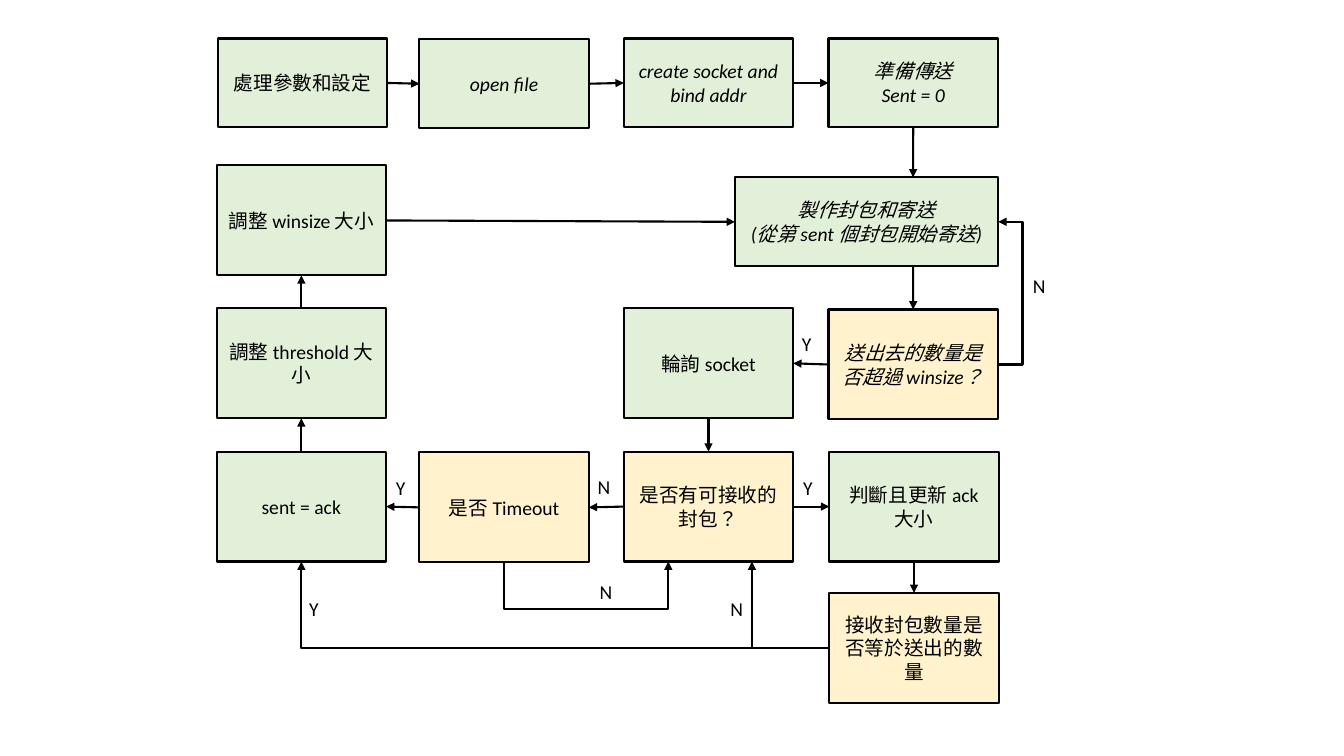
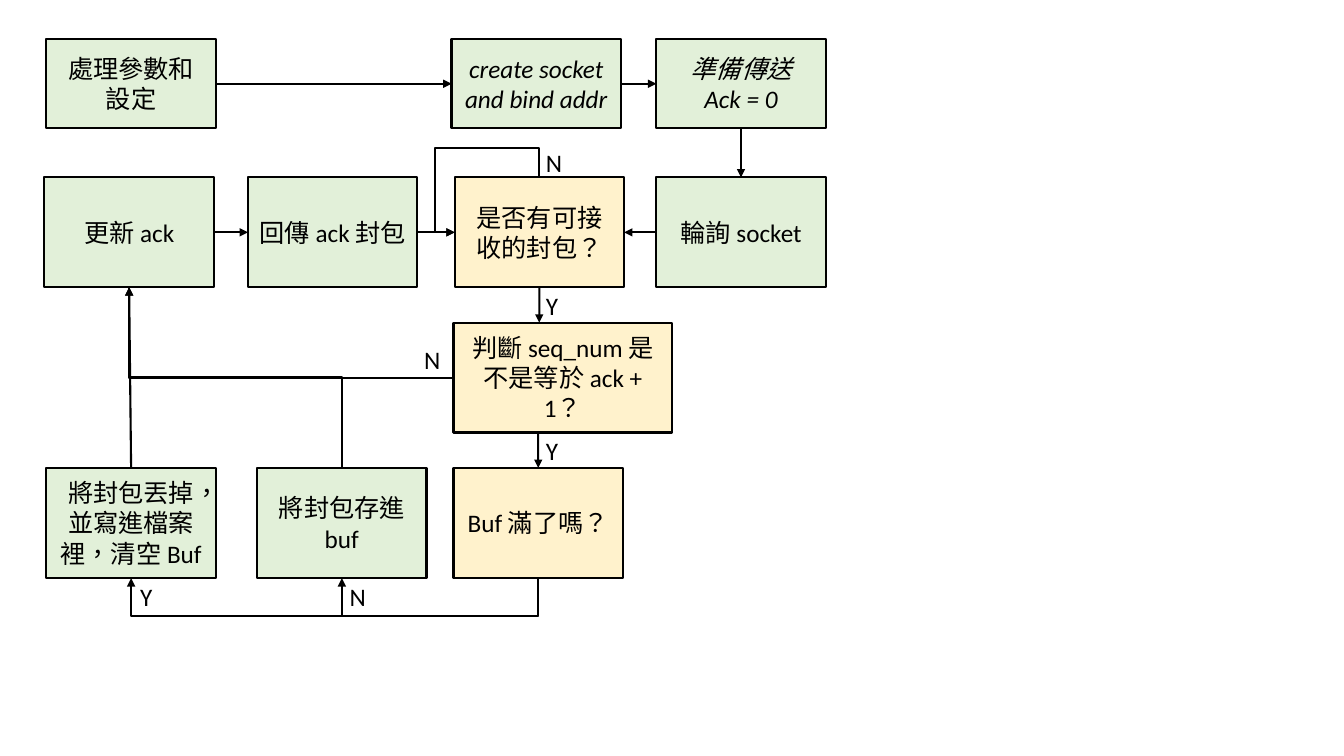
from pptx import Presentation
from pptx.dml.color import RGBColor
from pptx.enum.shapes import MSO_CONNECTOR, MSO_SHAPE
from pptx.enum.text import MSO_ANCHOR, MSO_AUTO_SIZE, PP_ALIGN
from pptx.oxml.ns import qn
from pptx.oxml.xmlchemy import OxmlElement
from pptx.util import Cm, Pt

RECTANGLE = MSO_SHAPE.RECTANGLE
STRAIGHT, ELBOW = MSO_CONNECTOR.STRAIGHT, MSO_CONNECTOR.ELBOW
MIDDLE = MSO_ANCHOR.MIDDLE
CENTER, LEFT = PP_ALIGN.CENTER, PP_ALIGN.LEFT
GROW = MSO_AUTO_SIZE.SHAPE_TO_FIT_TEXT

FONT, BLACK = "Calibri", "000000"
STEP, QUESTION = "E2F0D9", "FFF2CC"
LINE_WIDTH = 1.5
BOX_WIDTH, LOW, HIGH = 4.27, 2.24, 2.77
MIN_SPAN = 0.02

# Connection site and turning angle for each side of a box
SIDES = {"top": (0, 270), "left": (1, 180), "bottom": (2, 90), "right": (3, 0)}

# Boxes: name: (text, left, top, width, height, fill, italic), in cm
# Routes: (start, end, *bends); an end is (box, side) or (box, side, x),
# and bends are the lanes the route turns into, in turn across and along.
SENDER = {
    "size": 14,
    "label_height": 0.86,
    "label_widths": {"Y": 0.76, "N": 0.84},
    "boxes": {
        "setup": ("處理參數和設定", 5.49, 0.97, BOX_WIDTH, LOW, STEP, False),
        "file": ("open file", 10.57, 0.99, BOX_WIDTH, LOW, STEP, True),
        "socket": ("create socket and bind addr", 15.72, 0.97, BOX_WIDTH, LOW, STEP, True),
        "prepare": ("準備傳送\nSent = 0", 20.88, 0.97, BOX_WIDTH, LOW, STEP, True),
        "send": ("製作封包和寄送\v(從第 sent 個封包開始寄送)", 18.52, 4.47, 6.63, LOW, STEP, True),
        "window": ("送出去的數量是否超過 winsize？", 20.88, 7.8, BOX_WIDTH, HIGH, QUESTION, True),
        "poll": ("輪詢 socket", 15.72, 7.77, BOX_WIDTH, HIGH, STEP, False),
        "receive": ("是否有可接收的封包？", 15.72, 11.38, BOX_WIDTH, HIGH, QUESTION, False),
        "timeout": ("是否 Timeout", 10.57, 11.4, BOX_WIDTH, HIGH, QUESTION, False),
        "judge": ("判斷且更新 ack 大小", 20.9, 11.38, BOX_WIDTH, HIGH, STEP, False),
        "count": ("接收封包數量是否等於送出的數量", 20.9, 14.94, BOX_WIDTH, HIGH, QUESTION, False),
        "sent": ("sent = ack", 5.46, 11.38, BOX_WIDTH, HIGH, STEP, False),
        "threshold": ("調整 threshold 大小", 5.46, 7.77, BOX_WIDTH, HIGH, STEP, False),
        "winsize": ("調整 winsize 大小", 5.46, 4.17, BOX_WIDTH, HIGH, STEP, False),
    },
    "arrows": [
        (("setup", "right"), ("file", "left")),
        (("file", "right"), ("socket", "left")),
        (("socket", "right"), ("prepare", "left")),
        (("prepare", "bottom"), ("send", "top", 23.01)),
        (("send", "bottom", 23.01), ("window", "top")),
        (("window", "right"), ("send", "right"), 25.78),
        (("window", "left"), ("poll", "right")),
        (("poll", "bottom"), ("receive", "top")),
        (("receive", "right"), ("judge", "left")),
        (("receive", "left"), ("timeout", "right")),
        (("timeout", "bottom"), ("receive", "bottom", 16.84), 15.34, 16.84),
        (("timeout", "left"), ("sent", "right")),
        (("judge", "bottom"), ("count", "top")),
        (("count", "left"), ("receive", "bottom", 18.95)),
        (("count", "left"), ("sent", "bottom")),
        (("sent", "top"), ("threshold", "bottom")),
        (("threshold", "top"), ("winsize", "bottom")),
        (("winsize", "right"), ("send", "left")),
    ],
    "lines": [],
    "labels": [
        ("N", 25.78, 6.78), ("Y", 19.96, 8.23), ("Y", 9.73, 11.86),
        ("N", 14.81, 11.84), ("Y", 19.99, 11.86), ("N", 14.86, 14.48),
        ("Y", 7.54, 14.91), ("N", 18.16, 14.91),
    ],
}

RECEIVER = {
    "size": 18,
    "label_height": 1.02,
    "label_widths": {"Y": 0.81, "N": 0.91},
    "boxes": {
        "setup": ("處理參數和設定", 1.17, 0.99, BOX_WIDTH, LOW, STEP, False),
        "socket": ("create socket and bind addr", 11.38, 0.99, BOX_WIDTH, LOW, STEP, True),
        "prepare": ("準備傳送\nAck = 0", 16.54, 0.99, BOX_WIDTH, LOW, STEP, True),
        "poll": ("輪詢 socket", 16.54, 4.47, BOX_WIDTH, HIGH, STEP, False),
        "receive": ("是否有可接收的封包？", 11.46, 4.47, BOX_WIDTH, HIGH, QUESTION, False),
        "reply": ("回傳 ack 封包", 6.25, 4.47, BOX_WIDTH, HIGH, STEP, False),
        "update": ("更新 ack", 1.12, 4.47, BOX_WIDTH, HIGH, STEP, False),
        "sequence": ("判斷 seq_num 是不是等於 ack + 1？", 11.43, 8.13, 5.51, HIGH, QUESTION, False),
        "full": ("Buf 滿了嗎？", 11.43, 11.79, BOX_WIDTH, HIGH, QUESTION, False),
        "store": ("將封包存進 buf", 6.48, 11.79, BOX_WIDTH, HIGH, STEP, False),
        "drop": ("將封包丟掉，並寫進檔案裡，清空 Buf", 1.17, 11.79, BOX_WIDTH, HIGH, STEP, False),
    },
    "arrows": [
        (("setup", "right"), ("socket", "left")),
        (("socket", "right"), ("prepare", "left")),
        (("prepare", "bottom"), ("poll", "top")),
        (("poll", "left"), ("receive", "right")),
        (("update", "right"), ("reply", "left")),
        (("reply", "right"), ("receive", "left")),
        (("receive", "top"), ("receive", "left"), 3.73, 10.97),
        (("receive", "bottom"), ("sequence", "top", 13.59)),
        (("sequence", "bottom", 13.56), ("full", "top")),
        (("full", "bottom"), ("drop", "bottom"), 15.54),
        (("full", "bottom"), ("store", "bottom"), 15.54),
        (("drop", "top"), ("update", "bottom")),
        (("store", "top"), ("update", "bottom"), 9.5),
    ],
    "lines": [(("sequence", "left"), ("update", "bottom"))],
    "labels": [
        ("N", 13.51, 3.58), ("Y", 13.51, 7.19), ("N", 10.44, 8.56),
        ("Y", 13.51, 10.85), ("Y", 3.28, 14.53), ("N", 8.56, 14.53),
    ],
}


def color(code):
    """Turn a hex string into a colour."""
    return RGBColor.from_string(code)


def write(shape, text, size, align, italic=False):
    """Set the text of a shape and format its runs."""
    shape.text_frame.text = text
    for para in shape.text_frame.paragraphs:
        para.alignment = align
        for span in para.runs:
            span.font.name = FONT
            span.font.size = Pt(size)
            span.font.italic = italic
            span.font.color.rgb = color(BLACK)
            span._r.get_or_add_rPr().set("lang", "zh-TW")


def add_box(page, size, text, left, top, width, height, fill, italic):
    """Add one flowchart box."""
    box = page.shapes.add_shape(RECTANGLE, Cm(left), Cm(top), Cm(width), Cm(height))
    box.shadow.inherit = False
    box.fill.solid()
    box.fill.fore_color.rgb = color(fill)
    box.line.color.rgb = color(BLACK)
    box.line.width = Pt(LINE_WIDTH)
    box.text_frame.word_wrap = True
    box.text_frame.vertical_anchor = MIDDLE
    write(box, text, size, CENTER, italic)
    return box


def add_label(page, chart, text, left, top):
    """Add a Y or N beside a route."""
    label = page.shapes.add_textbox(Cm(left), Cm(top), Cm(chart["label_widths"][text]),
                                    Cm(chart["label_height"]))
    label.text_frame.word_wrap = False
    label.text_frame.auto_size = GROW
    write(label, text, chart["size"], LEFT)


def locate(boxes, name, side, x=None):
    """Find the point where a route meets a side of a box."""
    box = boxes[name]
    across = {"left": 0, "right": box.width}.get(side, box.width // 2)
    down = {"top": 0, "bottom": box.height}.get(side, box.height // 2)
    return box.left + across if x is None else Cm(x), box.top + down


def bend(route, start, end, angle, bends):
    """Turn, flip and adjust an elbow so that it follows its lanes."""
    upright = angle in (90, 270)
    first, second = (1, 0) if upright else (0, 1)
    spans = [end[0] - start[0], end[1] - start[1]]
    if abs(spans[first]) < Cm(MIN_SPAN):
        spans[first] = Cm(MIN_SPAN)
    width, height = abs(spans[first]), abs(spans[second])
    route.left = (start[0] + end[0] - width) // 2
    route.top = (start[1] + end[1] - height) // 2
    route.width, route.height = width, height

    # Flips are judged in the turned frame of the connector
    forward = spans[first] * (1 if angle in (0, 90) else -1)
    sideways = spans[second] * (1 if angle in (0, 270) else -1)
    properties = route._element.spPr
    frame = properties.find(qn("a:xfrm"))
    frame.set("rot", str(angle * 60000))
    frame.set("flipH", str(int(forward < 0)))
    frame.set("flipV", str(int(sideways < 0)))

    outline = properties.find(qn("a:prstGeom"))
    outline.set("prst", f"bentConnector{len(bends) + 2}")
    guides = outline.find(qn("a:avLst"))
    if guides is None:
        guides = OxmlElement("a:avLst")
        outline.append(guides)
    for number, (lane, axis) in enumerate(zip(bends, (first, second)), 1):
        guide = OxmlElement("a:gd")
        guide.set("name", f"adj{number}")
        guide.set("fmla", f"val {round((Cm(lane) - start[axis]) / spans[axis] * 100000)}")
        guides.append(guide)


def add_route(page, boxes, origin, target, bends, arrow):
    """Join two boxes with a straight or elbow connector."""
    start, end = locate(boxes, *origin), locate(boxes, *target)
    upright = [side in ("top", "bottom") for side in (origin[1], target[1])]
    is_elbow = bool(bends) or upright[0] != upright[1]
    route = page.shapes.add_connector(ELBOW if is_elbow else STRAIGHT, *start, *end)
    if len(origin) == 2:
        route.begin_connect(boxes[origin[0]], SIDES[origin[1]][0])
    if len(target) == 2:
        route.end_connect(boxes[target[0]], SIDES[target[1]][0])
    if is_elbow:
        bend(route, start, end, SIDES[origin[1]][1], bends)
    route.line.color.rgb = color(BLACK)
    route.line.width = Pt(LINE_WIDTH)
    if arrow:
        tip = OxmlElement("a:tailEnd")
        tip.set("type", "triangle")
        route.line._get_or_add_ln().append(tip)
    route._element.spPr.append(OxmlElement("a:effectLst"))


def add_flowchart(deck, chart):
    """Add a slide with one flowchart."""
    page = deck.slides.add_slide(deck.slide_layouts[6])
    boxes = {name: add_box(page, chart["size"], *parts)
             for name, parts in chart["boxes"].items()}
    for kind in ("lines", "arrows"):
        for origin, target, *bends in chart[kind]:
            add_route(page, boxes, origin, target, bends, kind == "arrows")
    for label in chart["labels"]:
        add_label(page, chart, *label)


deck = Presentation()
deck.slide_width, deck.slide_height = Cm(33.87), Cm(19.05)
for flowchart in (SENDER, RECEIVER):
    add_flowchart(deck, flowchart)
deck.save("out.pptx")
